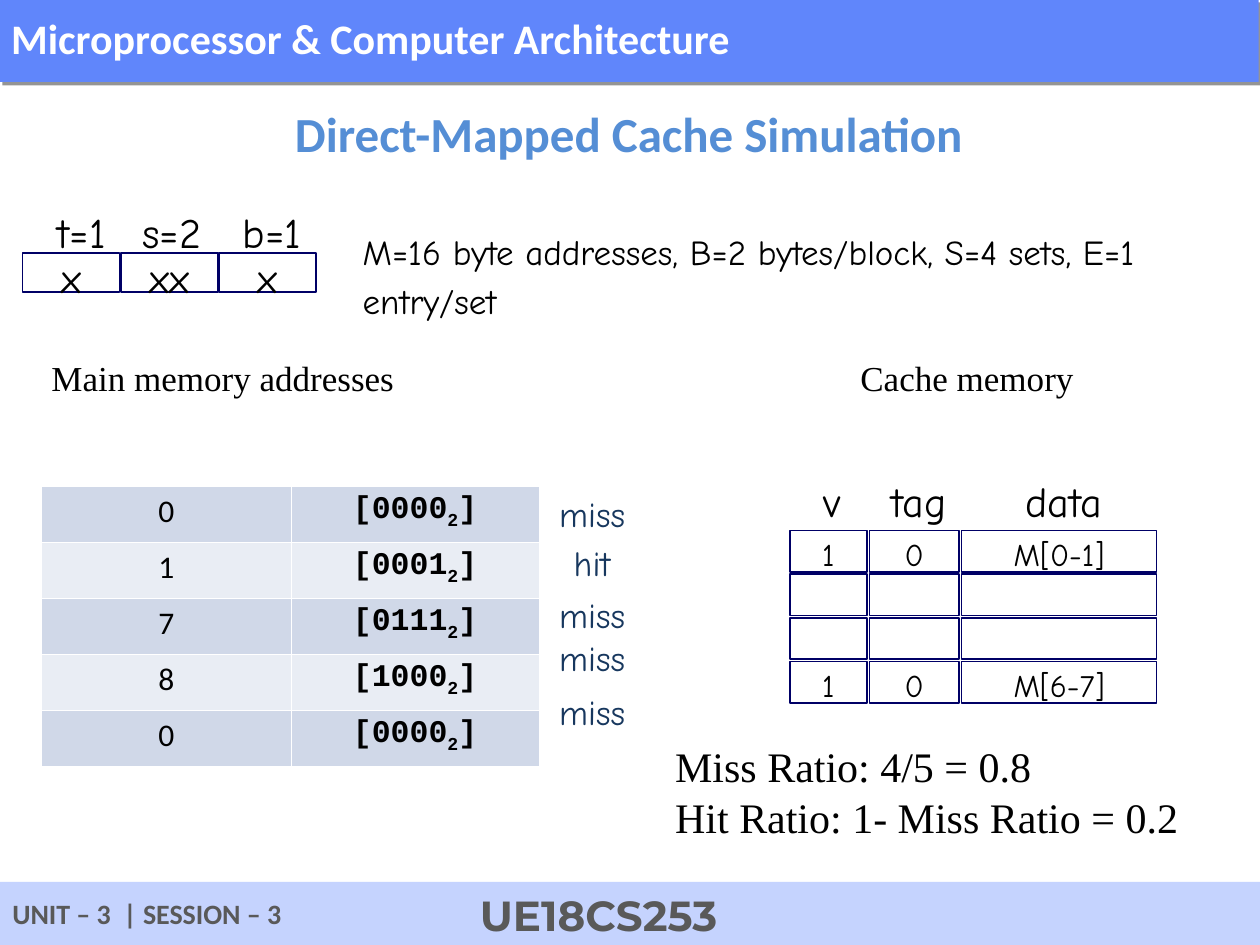
import pptx
import pptx.util
import pptx.dml.color
import pptx.enum.shapes
import pptx.enum.text
import pptx.oxml
import pptx.oxml.ns

Inches = pptx.util.Inches
ALIGN = pptx.enum.text.PP_ALIGN
ANCHOR = pptx.enum.text.MSO_ANCHOR

THEME = {
    "header": "6086FB", "footer": "C5D3FE", "footer_text": "595959",
    "title": "558ED5", "ink": "000000", "paper": "FFFFFF",
    "cell_line": "000066", "outcome": "17375E", "bands": ("D0D8E8", "E9EDF4"),
    "sans": "Calibri", "hand": "Comic Neue", "mono": "Courier New",
    "serif": "Times New Roman", "brand": "Montserrat",
    "title_size": 28, "large": 24, "medium": 20, "table_size": 18, "small": 16,
}

COURSE = "Microprocessor & Computer Architecture"
TITLE = "Direct-Mapped Cache Simulation"
SESSION = "UNIT – 3  | SESSION – 3"
COURSE_CODE = "UE18CS253"
PARAMETERS = "M=16 byte addresses, B=2 bytes/block, S=4 sets, E=1 entry/set"
ADDRESS_FIELDS = [("t=1", "x", 0.36), ("s=2", "xx", 1.03), ("b=1", "x", 1.83)]
ADDRESSES = [("0", "0000"), ("1", "0001"), ("7", "0111"), ("8", "1000"), ("0", "0000")]
OUTCOMES = [("miss", 3.94), ("hit", 4.33), ("miss", 4.74), ("miss", 5.08), ("miss", 5.51)]
CACHE_HEADS = [("v", 6.44, 0.34), ("tag", 6.98, 0.68), ("data", 8.04, 0.85)]
CACHE_WIDTHS = [0.61, 0.71, 1.55]
CACHE_SETS = [("1", "0", "M[0-1]"), ("", "", ""), ("", "", ""), ("1", "0", "M[6-7]")]
SECTION_HEADS = [("Main memory addresses", 0.31, 4.94), ("Cache memory", 6.73, 2.11)]
RATIOS = ["Miss Ratio: 4/5 = 0.8", "Hit Ratio: 1- Miss Ratio = 0.2"]


def rgb(name):
    return pptx.dml.color.RGBColor.from_string(THEME.get(name, name))


def write(frame, *lines, font="hand", size="large", color="ink", bold=False,
          align=ALIGN.LEFT, spacing=1.16):
    for index, line in enumerate(lines):
        paragraph = frame.add_paragraph() if index else frame.paragraphs[0]
        paragraph.alignment = align
        paragraph.line_spacing = spacing
        parts = line if isinstance(line, tuple) else (line,)
        for position, part in enumerate(parts):
            run = paragraph.add_run()
            run.text = part
            run.font.name = THEME[font]
            run.font.size = pptx.util.Pt(THEME[size])
            run.font.bold = bold
            run.font.color.rgb = rgb(color)
            if position == 1:
                run.font._element.set("baseline", "-25000")


def label(slide, *lines, at, wrap=False, **style):
    box = slide.shapes.add_textbox(*map(Inches, at))
    box.text_frame.word_wrap = wrap
    box.text_frame.auto_size = pptx.enum.text.MSO_AUTO_SIZE.SHAPE_TO_FIT_TEXT
    write(box.text_frame, *lines, **style)


def panel(slide, text="", *, at, fill="paper", line=None, wrap=False,
          anchor=ANCHOR.MIDDLE, **style):
    box = slide.shapes.add_shape(pptx.enum.shapes.MSO_SHAPE.RECTANGLE, *map(Inches, at))
    box.shadow.inherit = False
    box.fill.solid()
    box.fill.fore_color.rgb = rgb(fill)
    if line:
        box.line.color.rgb = rgb(line)
        box.line.width = pptx.util.Pt(1)
    else:
        box.line.fill.background()
    box.text_frame.word_wrap = wrap
    box.text_frame.vertical_anchor = anchor
    if text:
        write(box.text_frame, text, **style)
    return box


def drop_shadow(box):
    effects = box._element.spPr.find(pptx.oxml.ns.qn("a:effectLst"))
    effects.append(pptx.oxml.parse_xml(
        f'<a:outerShdw {pptx.oxml.ns.nsdecls("a")} dist="38100" dir="2700000">'
        '<a:srgbClr val="000000"><a:alpha val="41000"/></a:srgbClr></a:outerShdw>'))


def outline_cell(cell):
    properties = cell._tc.get_or_add_tcPr()
    for index, side in enumerate(("lnL", "lnR", "lnT", "lnB")):
        properties.insert(index, pptx.oxml.parse_xml(
            f'<a:{side} {pptx.oxml.ns.nsdecls("a")} w="2921"><a:solidFill>'
            f'<a:srgbClr val="{THEME["paper"]}"/></a:solidFill></a:{side}>'))


def draw_frame(slide):
    header = panel(slide, COURSE, at=(-0.01, -0.01, 10, 0.66), fill="header", wrap=True,
                   font="sans", color="paper", bold=True, spacing=0.93)
    drop_shadow(header)
    panel(slide, at=(0, 7, 10, 0.5), fill="footer")
    footer = dict(fill="footer", anchor=ANCHOR.TOP, color="footer_text", bold=True, spacing=0.93)
    panel(slide, SESSION, at=(0, 7.09, 3.27, 0.36), font="sans", size="small", **footer)
    panel(slide, COURSE_CODE, at=(3.71, 7.05, 1.88, 0.4), font="brand", **footer)


def draw_title(slide):
    title = slide.shapes.title
    title.left, title.top, title.width, title.height = map(Inches, (-0.01, 0.63, 10, 0.85))
    title.text_frame.vertical_anchor = ANCHOR.MIDDLE
    write(title.text_frame, TITLE, font="sans", size="title_size", color="title",
          bold=True, align=ALIGN.CENTER, spacing=1.0)


def draw_address_fields(slide):
    label(slide, PARAMETERS, at=(2.78, 1.73, 7.05, 0.87), wrap=True, size="medium")
    for index, (name, bits, left) in enumerate(ADDRESS_FIELDS):
        panel(slide, bits, at=(0.18 + 0.78 * index, 2.01, 0.77, 0.31),
              line="cell_line", align=ALIGN.CENTER)
        label(slide, name, at=(left, 1.53, 0.75, 0.56))


def draw_addresses(slide):
    table = slide.shapes.add_table(len(ADDRESSES), 2, *map(Inches, (0.33, 3.86, 3.95, 2.22))).table
    table.first_row = table.horz_banding = False
    for column, width in zip(table.columns, (1.98, 1.97)):
        column.width = Inches(width)
    for index, (decimal, binary) in enumerate(ADDRESSES):
        columns = [(decimal, "sans", False, 0.98), (("[" + binary, "2", "]"), "mono", True, 0.94)]
        for column, (text, font, bold, spacing) in enumerate(columns):
            cell = table.cell(index, column)
            cell.fill.solid()
            cell.fill.fore_color.rgb = rgb(THEME["bands"][index % 2])
            outline_cell(cell)
            write(cell.text_frame, text, font=font, size="table_size", bold=bold,
                  align=ALIGN.CENTER, spacing=spacing)
    for outcome, top in OUTCOMES:
        label(slide, outcome, at=(4.3, top, 0.8, 0.35), size="medium",
              color="outcome", align=ALIGN.CENTER, spacing=0.75)


def draw_cache(slide):
    for head, left, width in CACHE_HEADS:
        label(slide, head, at=(left, 3.66, width, 0.56))
    for index, entries in enumerate(CACHE_SETS):
        left = 6.27
        for entry, width in zip(entries, CACHE_WIDTHS):
            panel(slide, entry, at=(left, 4.21 + 1.04 / 3 * index, width, 0.33),
                  line="cell_line", size="table_size", align=ALIGN.CENTER)
            left += width + 0.02


def main():
    deck = pptx.Presentation()
    deck.slide_width, deck.slide_height = Inches(10), Inches(7.5)
    slide = deck.slides.add_slide(deck.slide_layouts[5])
    draw_frame(slide)
    draw_title(slide)
    draw_address_fields(slide)
    for head, left, width in SECTION_HEADS:
        label(slide, head, at=(left, 2.81, width, 0.41), wrap=True,
              font="serif", size="medium", spacing=0.93)
    draw_addresses(slide)
    draw_cache(slide)
    label(slide, *RATIOS, at=(5.26, 5.83, 4.52, 0.9), wrap=True, font="serif", spacing=1.0)
    deck.save("out.pptx")


if __name__ == "__main__":
    main()
